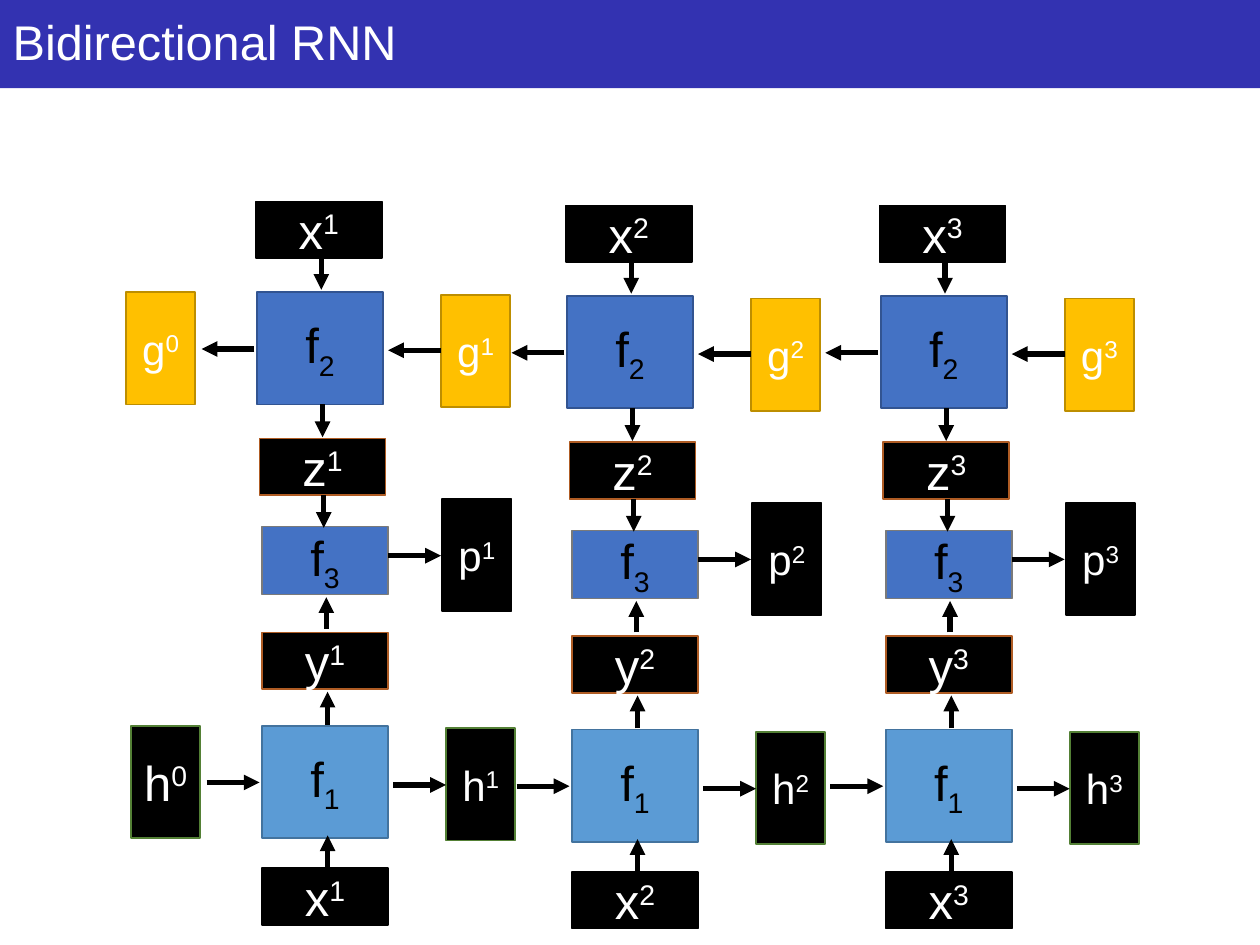
import pptx
import pptx.util
import pptx.dml.color
import pptx.enum.shapes
import pptx.enum.text
import pptx.oxml.ns
from lxml import etree

Inches = pptx.util.Inches
Pt = pptx.util.Pt
RGBColor = pptx.dml.color.RGBColor
qn = pptx.oxml.ns.qn

WHITE = RGBColor(0xFF, 0xFF, 0xFF)
BLACK = RGBColor(0, 0, 0)
INDIGO = RGBColor(0x33, 0x32, 0xB1)
SKY = RGBColor(0x5B, 0x9B, 0xD5)
SKY_EDGE = RGBColor(0x43, 0x73, 0x9E)
BLUE = RGBColor(0x44, 0x72, 0xC4)
BLUE_EDGE = RGBColor(0x32, 0x54, 0x91)
GOLD = RGBColor(0xFF, 0xC0, 0x00)
GOLD_EDGE = RGBColor(0xBD, 0x8E, 0x00)
GREEN_EDGE = RGBColor(0x53, 0x80, 0x35)
RUST_EDGE = RGBColor(0xAF, 0x5C, 0x24)
GRAY_EDGE = RGBColor(0x7A, 0x7A, 0x7A)

STEP_OFFSETS = [(0, 0), (2.46, 0.03), (4.95, 0.03)]
FUNCTION_SIZE = (1, 0.89)
MERGE_SIZE = (1, 0.54)
VECTOR_SIZE = (1, 0.45)
STATE_SIZE = (0.55, 0.89)

# Boxes of the first time step: letter, index (None = step number),
# position, size, fill, edge, text colour, font size
STEP_BOXES = [
    ("f", 1, (2.08, 5.76), FUNCTION_SIZE, SKY, SKY_EDGE, BLACK, 28),
    ("h", None, (3.54, 5.78), STATE_SIZE, BLACK, GREEN_EDGE, WHITE, 24),
    ("y", None, (2.08, 5.02), VECTOR_SIZE, BLACK, RUST_EDGE, WHITE, 28),
    ("x", None, (2.08, 6.89), VECTOR_SIZE, BLACK, BLACK, WHITE, 28),
    ("f", 2, (2.04, 2.32), FUNCTION_SIZE, BLUE, BLUE_EDGE, BLACK, 28),
    ("g", None, (3.5, 2.34), STATE_SIZE, GOLD, GOLD_EDGE, WHITE, 24),
    ("x", None, (2.03, 1.6), VECTOR_SIZE, BLACK, BLACK, WHITE, 28),
    ("z", None, (2.06, 3.48), VECTOR_SIZE, BLACK, RUST_EDGE, WHITE, 28),
    ("f", 3, (2.08, 4.18), MERGE_SIZE, BLUE, GRAY_EDGE, BLACK, 28),
    ("p", None, (3.51, 3.96), STATE_SIZE, BLACK, BLACK, WHITE, 24),
]

# Arrows of the first time step: start, end
STEP_ARROWS = [
    ((1.64, 6.21), (2.06, 6.21)),  # previous h to f1
    ((3.12, 6.23), (3.54, 6.23)),  # f1 to h
    ((2.6, 5.75), (2.6, 5.49)),    # f1 to y
    ((2.6, 6.89), (2.6, 6.63)),    # x to f1
    ((2.02, 2.77), (1.6, 2.77)),   # f2 to previous g
    ((3.5, 2.78), (3.08, 2.78)),   # g to f2
    ((2.55, 2.04), (2.55, 2.3)),   # x to f2
    ((2.56, 3.21), (2.56, 3.47)),  # f2 to z
    ((2.59, 4.99), (2.59, 4.74)),  # y to f3
    ((2.57, 3.93), (2.57, 4.19)),  # z to f3
    ((3.08, 4.41), (3.5, 4.41)),   # f3 to p
]


class Diagram:
    def __init__(self, slide, font="Arial"):
        self.slide = slide
        self.font = font

    def style_run(self, r, size, color):
        r.font.name = self.font
        r.font.size = Pt(size)
        r.font.color.rgb = color

    def rect(self, pos, size, fill, edge=None):
        sp = self.slide.shapes.add_shape(
            pptx.enum.shapes.MSO_SHAPE.RECTANGLE,
            *[Inches(v) for v in (*pos, *size)])
        sp.shadow.inherit = False
        sp.fill.solid()
        sp.fill.fore_color.rgb = fill
        if edge is None:
            sp.line.fill.background()
        else:
            sp.line.color.rgb = edge
            sp.line.width = Pt(1)
        return sp

    def title(self, text):
        bar = self.rect((0, 0), (10, 0.7), INDIGO)
        sp = self.slide.shapes.title
        bar._element.addnext(sp._element)
        sp.left, sp.top = Inches(0), Inches(0)
        sp.width, sp.height = Inches(9.99), Inches(0.57)
        tf = sp.text_frame
        tf.text = text
        tf.auto_size = pptx.enum.text.MSO_AUTO_SIZE.NONE
        tf.vertical_anchor = pptx.enum.text.MSO_ANCHOR.TOP
        tf.margin_top = Inches(0.09)
        p = tf.paragraphs[0]
        p.alignment = pptx.enum.text.PP_ALIGN.LEFT
        self.style_run(p.runs[0], 27.8, WHITE)

    def node(self, letter, index, pos, size, fill, edge, color, font_size):
        """Box with a letter; functions carry a subscript, vectors a superscript."""
        tf = self.rect(pos, size, fill, edge).text_frame
        tf.word_wrap = True
        tf.margin_left = tf.margin_right = 0
        tf.vertical_anchor = pptx.enum.text.MSO_ANCHOR.MIDDLE
        p = tf.paragraphs[0]
        p.alignment = pptx.enum.text.PP_ALIGN.CENTER
        for text in (letter, str(index)):
            r = p.add_run()
            r.text = text
            self.style_run(r, font_size, color)
        baseline = "-25000" if letter == "f" else "30000"
        r.font._element.set("baseline", baseline)

    def arrow(self, start, end):
        line = self.slide.shapes.add_connector(
            pptx.enum.shapes.MSO_CONNECTOR.STRAIGHT,
            *[Inches(v) for v in (*start, *end)])
        line.line.color.rgb = BLACK
        line.line.width = Pt(3)
        ln = line.line._get_or_add_ln()
        etree.SubElement(ln, qn("a:tailEnd"), type="triangle")
        etree.SubElement(line._element.spPr, qn("a:effectLst"))


def shift(point, offset):
    return point[0] + offset[0], point[1] + offset[1]


def main():
    prs = pptx.Presentation()
    prs.slide_width, prs.slide_height = Inches(10), Inches(7.5)
    diagram = Diagram(prs.slides.add_slide(prs.slide_layouts[5]))
    diagram.title("Bidirectional RNN")

    diagram.node("h", 0, (1.04, 5.76), STATE_SIZE, BLACK, GREEN_EDGE, WHITE, 28)
    diagram.node("g", 0, (1, 2.32), STATE_SIZE, GOLD, GOLD_EDGE, WHITE, 24)
    for step, offset in enumerate(STEP_OFFSETS, start=1):
        for letter, index, pos, *style in STEP_BOXES:
            diagram.node(letter, index or step, shift(pos, offset), *style)
        for start, end in STEP_ARROWS:
            diagram.arrow(shift(start, offset), shift(end, offset))

    prs.save("out.pptx")


if __name__ == "__main__":
    main()
